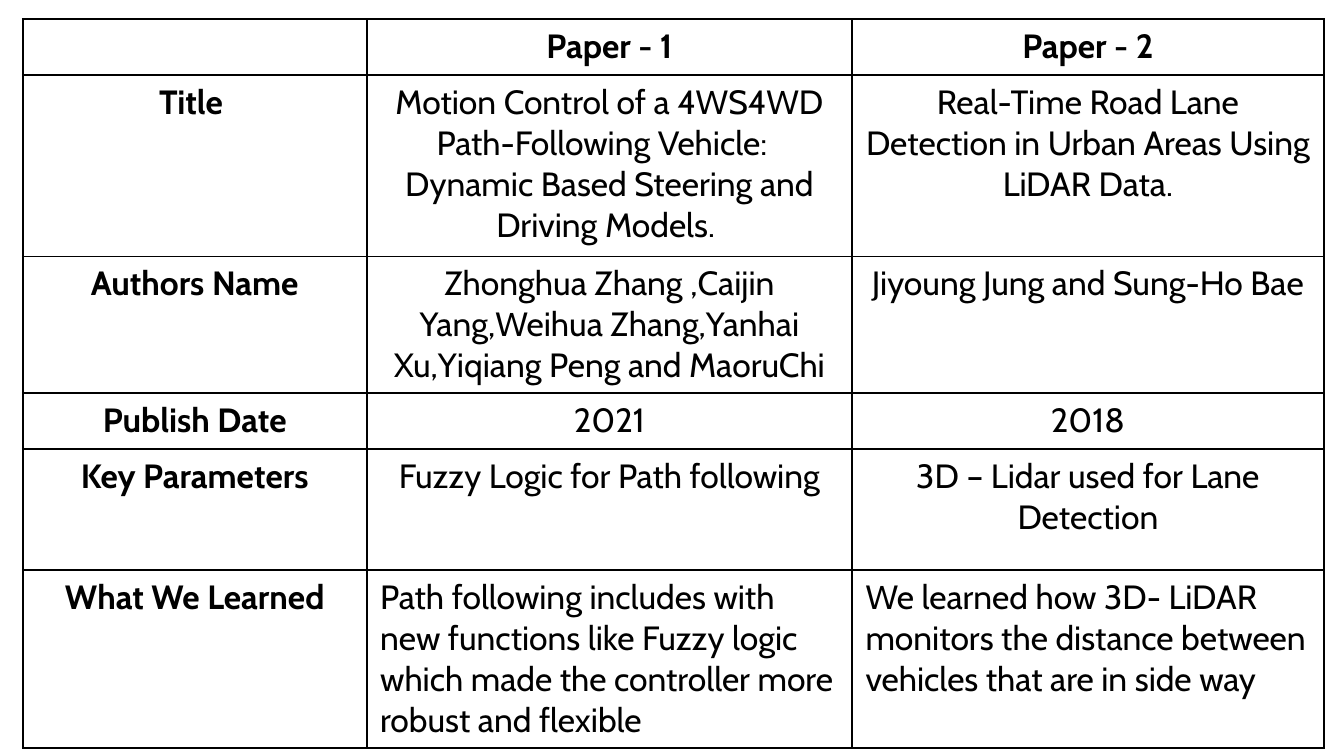
from lxml import etree
from pptx import Presentation
from pptx.dml.color import RGBColor
from pptx.enum.text import PP_ALIGN
from pptx.oxml.ns import qn
from pptx.util import Pt

CENTER, LEFT = PP_ALIGN.CENTER, PP_ALIGN.LEFT
COLORS = {"ink": "000000", "paper": "FFFFFF"}
FONT = {"name": "Cabin", "size": Pt(18)}

ROWS = [
    ("", "Paper - 1", "Paper - 2"),
    ("Title ",
     "Motion Control of a 4WS4WD Path-Following Vehicle:   Dynamic Based Steering and Driving Models. ",
     "Real-Time Road Lane Detection in Urban Areas Using LiDAR Data."),
    ("Authors Name",
     "Zhonghua Zhang ,Caijin Yang,Weihua Zhang,Yanhai Xu,Yiqiang Peng and MaoruChi",
     "Jiyoung Jung and Sung-Ho Bae"),
    ("Publish Date", "2021", "2018"),
    ("Key Parameters", "Fuzzy Logic for Path following",
     "3D – Lidar used for Lane Detection"),
    ("What We Learned",
     "Path following includes with new functions like Fuzzy logic which made the controller more robust and flexible",
     "We learned how 3D- LiDAR monitors the distance between vehicles that are in side way"),
]
WIDTHS = [184.3, 260, 252.7]
HEIGHTS = [30, 97.2, 65, 30, 65, 65]


def add_borders(cell, color, width):
    tcPr = cell._tc.get_or_add_tcPr()
    for i, side in enumerate(("a:lnL", "a:lnR", "a:lnT", "a:lnB")):
        ln = etree.Element(qn(side), w=str(width))
        fill = etree.SubElement(ln, qn("a:solidFill"))
        etree.SubElement(fill, qn("a:srgbClr"), val=color)
        tcPr.insert(i, ln)


prs = Presentation()
prs.slide_width, prs.slide_height = Pt(720), Pt(405)
s = prs.slides.add_slide(prs.slide_layouts[6])
s.background.fill.solid()
s.background.fill.fore_color.rgb = RGBColor.from_string(COLORS["paper"])

frame = s.shapes.add_table(len(ROWS), len(WIDTHS), Pt(12.2), Pt(10.2), Pt(697), Pt(388))
table = frame.table
table.first_row = table.horz_banding = False
for col, width in zip(table.columns, WIDTHS):
    col.width = Pt(width)
for row, height in zip(table.rows, HEIGHTS):
    row.height = Pt(height)
frame.height = Pt(388)

for i, texts in enumerate(ROWS):
    for j, text in enumerate(texts):
        cell = table.cell(i, j)
        cell.fill.background()
        add_borders(cell, COLORS["ink"], Pt(1))
        p = cell.text_frame.paragraphs[0]
        p.alignment = LEFT if i == len(ROWS) - 1 and j else CENTER
        p.font.size = FONT["size"]
        if text:
            r = p.add_run()
            r.text = text
            for key, value in FONT.items():
                setattr(r.font, key, value)
            r.font.bold = i == 0 or j == 0
            r.font.color.rgb = RGBColor.from_string(COLORS["ink"])

prs.save("out.pptx")
